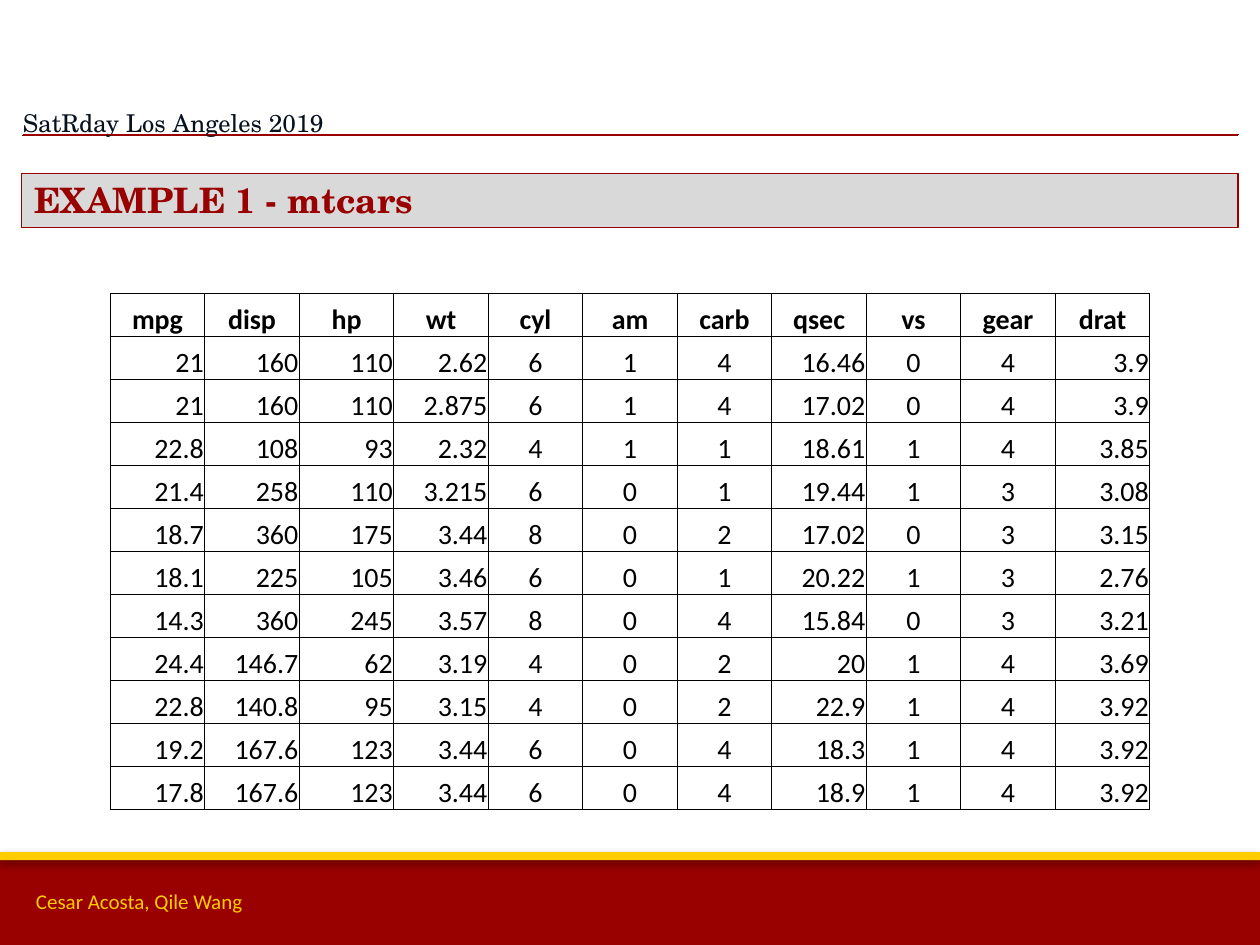
from lxml.etree import SubElement
from pptx import Presentation
from pptx.dml.color import RGBColor
from pptx.enum.shapes import MSO_SHAPE
from pptx.enum.text import MSO_ANCHOR, PP_ALIGN
from pptx.oxml.ns import qn
from pptx.util import Pt

COLORS = {
    "cardinal": "990000",
    "gold": "FFCC00",
    "gray": "D9D9D9",
    "navy": "08121F",
    "black": "000000",
}
SANS = "Calibri"
SERIF = "TeX Gyre Schola"
CENTERED = {"cyl", "am", "carb", "vs", "gear"}
CARS = """
mpg disp hp wt cyl am carb qsec vs gear drat
21 160 110 2.62 6 1 4 16.46 0 4 3.9
21 160 110 2.875 6 1 4 17.02 0 4 3.9
22.8 108 93 2.32 4 1 1 18.61 1 4 3.85
21.4 258 110 3.215 6 0 1 19.44 1 3 3.08
18.7 360 175 3.44 8 0 2 17.02 0 3 3.15
18.1 225 105 3.46 6 0 1 20.22 1 3 2.76
14.3 360 245 3.57 8 0 4 15.84 0 3 3.21
24.4 146.7 62 3.19 4 0 2 20 1 4 3.69
22.8 140.8 95 3.15 4 0 2 22.9 1 4 3.92
19.2 167.6 123 3.44 6 0 4 18.3 1 4 3.92
17.8 167.6 123 3.44 6 0 4 18.9 1 4 3.92
"""


def color(name):
    return RGBColor.from_string(COLORS[name])


def write(para, text, face, size, ink, bold=False):
    para.text = text
    para.font.name = face
    para.font.size = Pt(size)
    para.font.bold = bold
    para.font.color.rgb = color(ink)


def set_margins(holder, left, top, right, bottom):
    holder.margin_left, holder.margin_top = Pt(left), Pt(top)
    holder.margin_right, holder.margin_bottom = Pt(right), Pt(bottom)


def add_bar(page, box, fill):
    bar = page.shapes.add_shape(MSO_SHAPE.RECTANGLE, *map(Pt, box))
    bar.shadow.inherit = False
    bar.fill.solid()
    bar.fill.fore_color.rgb = color(fill)
    bar.line.fill.background()
    return bar


def add_shadow(bar, blur, distance, opacity):
    effects = bar._element.spPr.find(qn("a:effectLst"))
    shadow = SubElement(effects, qn("a:outerShdw"), blurRad=str(Pt(blur)),
                        dist=str(Pt(distance)), dir="5400000", rotWithShape="0")
    ink = SubElement(shadow, qn("a:srgbClr"), val=COLORS["black"])
    SubElement(ink, qn("a:alpha"), val=str(opacity * 1000))


def set_borders(cell, sides, ink, width):
    properties = cell._tc.get_or_add_tcPr()
    for side in "LRTB":
        edge = SubElement(properties, qn(f"a:ln{side}"), w=str(Pt(width)))
        if side in sides:
            fill = SubElement(edge, qn("a:solidFill"))
            SubElement(fill, qn("a:srgbClr"), val=COLORS[ink])
        else:
            SubElement(edge, qn("a:noFill"))
    cell.fill.background()


def add_grid(page, box, row_count, column_count):
    table = page.shapes.add_table(row_count, column_count, *map(Pt, box)).table
    table.first_row = table.horz_banding = False
    for row in table.rows:
        row.height = Pt(box[3] / row_count)
    for column in table.columns:
        column.width = Pt(box[2] / column_count)
    return table


def add_footer(page, box):
    left, top, width, height = box
    add_shadow(add_bar(page, box, "cardinal"), 5, 1.8, 35)
    add_shadow(add_bar(page, (left, top - 4, width, 4.5), "gold"), 5, 1.6, 38)
    frame = page.shapes.add_textbox(Pt(left + 13.5), Pt(top + 13), Pt(222), Pt(21.6)).text_frame
    frame.word_wrap = True
    write(frame.paragraphs[0], "Cesar Acosta, Qile Wang", SANS, 12, "gold")


def add_header_rule(page, box, text):
    cell = add_grid(page, box, 1, 1).cell(0, 0)
    set_margins(cell, 0, 0, 0, 0)
    set_borders(cell, "B", "cardinal", 1)
    write(cell.text_frame.paragraphs[0], text, SERIF, 14, "navy")


def add_title(page, box):
    title = add_bar(page, box, "gray")
    title.line.color.rgb = color("cardinal")
    title.line.width = Pt(0.75)
    frame = title.text_frame
    frame.word_wrap = True
    frame.vertical_anchor = MSO_ANCHOR.BOTTOM
    set_margins(frame, 7.2, 0, 7.2, 3.6)
    para = frame.paragraphs[0]
    para.alignment = PP_ALIGN.LEFT
    para.line_spacing = 0.9
    write(para, "EXAMPLE 1 - mtcars", SERIF, 20, "cardinal", bold=True)


def add_cars_table(page, box):
    rows = [line.split() for line in CARS.strip().splitlines()]
    names = rows[0]
    table = add_grid(page, box, len(rows), len(names))
    for row_index, values in enumerate(rows):
        is_heading = row_index == 0
        for column_index, (name, value) in enumerate(zip(names, values)):
            cell = table.cell(row_index, column_index)
            cell.vertical_anchor = MSO_ANCHOR.BOTTOM
            set_margins(cell, 0.6, 0.6, 0.6, 0)
            set_borders(cell, "LRTB", "black", 0.5)
            para = cell.text_frame.paragraphs[0]
            centered = is_heading or name in CENTERED
            para.alignment = PP_ALIGN.CENTER if centered else PP_ALIGN.RIGHT
            write(para, value, SANS, 16, "black", bold=is_heading)


def main():
    deck = Presentation()
    deck.slide_width, deck.slide_height = Pt(720), Pt(540)
    page = deck.slides.add_slide(deck.slide_layouts[6])
    add_footer(page, (0, 491, 720, 49))
    add_header_rule(page, (12.5, 60.5, 695, 17), "")
    add_header_rule(page, (13, 60, 695, 17), "SatRday Los Angeles 2019")
    add_title(page, (12.5, 99, 695, 31))
    add_cars_table(page, (63, 167.75, 594, 295.2))
    deck.save("out.pptx")


if __name__ == "__main__":
    main()
